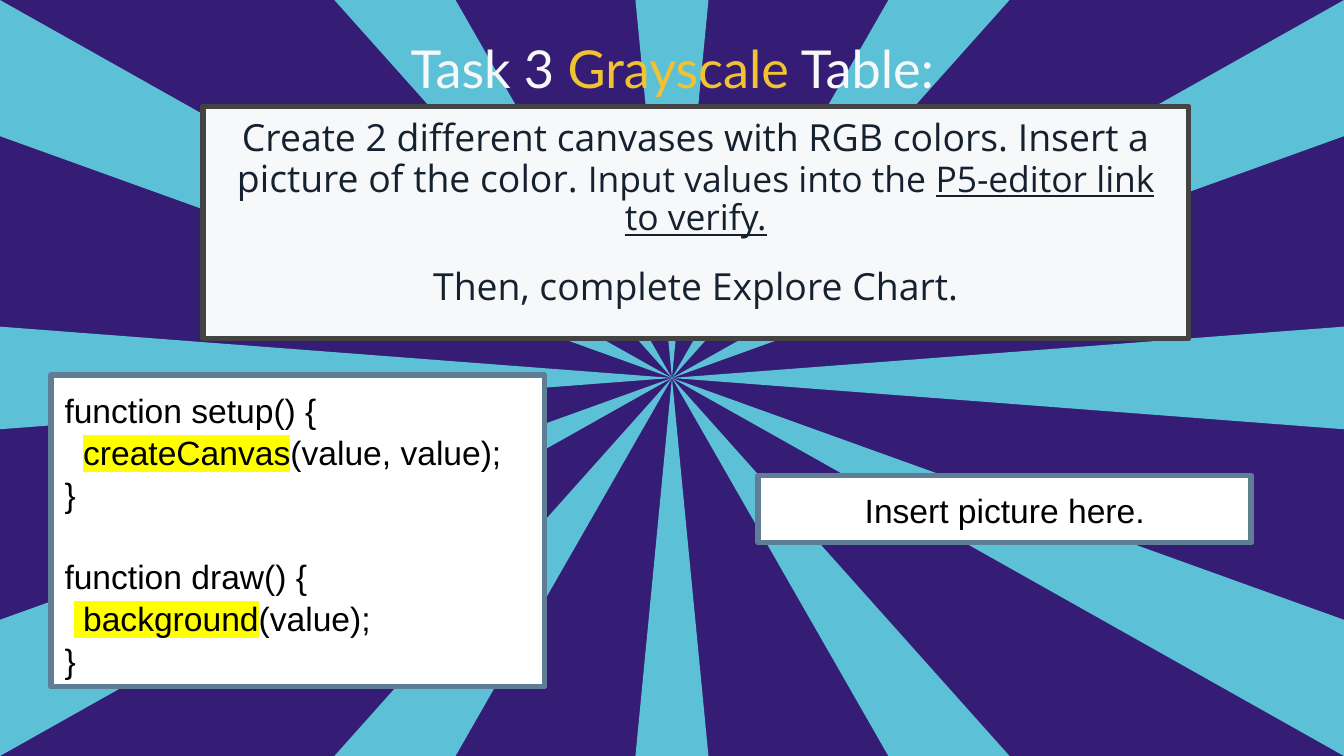
from itertools import product
from lxml.etree import SubElement
from pptx import Presentation
from pptx.dml.color import RGBColor
from pptx.enum.shapes import MSO_SHAPE
from pptx.enum.text import MSO_ANCHOR, MSO_AUTO_SIZE, PP_ALIGN
from pptx.oxml.ns import qn
from pptx.util import Cm, Pt

COLORS = {
    "purple": "351C75", "aqua": "5CC1D6", "paper": "F6F8F9", "gold": "F1C232",
    "ink": "162130", "charcoal": "434343", "white": "FFFFFF", "slate": "5F7D95",
    "black": "000000", "yellow": "FFFF00",
}
WIDTH, HEIGHT = 25.4, 14.29


def rgb(name):
    return RGBColor.from_string(COLORS[name])


class SlideBuilder:
    def __init__(self, presentation):
        self.slide = presentation.slides.add_slide(presentation.slide_layouts[0])
        self.slide.background.fill.solid()
        self.slide.background.fill.fore_color.rgb = rgb("purple")

    def rays(self, color, rays):
        group = self.slide.shapes.add_group_shape()
        center_x, center_y = WIDTH / 2, HEIGHT / 2
        for ray in rays:
            edge = [(Cm(center_x + x), Cm(center_y + y)) for x, y in ray]
            builder = group.shapes.build_freeform(Cm(center_x), Cm(center_y))
            builder.add_line_segments(edge, close=True)
            shape = builder.convert_to_shape()
            shape.shadow.inherit = False
            shape.fill.solid()
            shape.fill.fore_color.rgb = rgb(color)
            shape.line.fill.background()
        self.slide.shapes._spTree.insert(2, group._element)

    def place(self, shape, box):
        shape.left, shape.top, shape.width, shape.height = map(Cm, box)

    def frame(self, shape, fill, line):
        shape.fill.solid()
        shape.fill.fore_color.rgb = rgb(fill)
        shape.line.color.rgb = rgb(line)
        shape.line.width = Pt(3)
        SubElement(shape.line._get_or_add_ln(), qn("a:round"))

    def add_text(self, shape, paragraphs, font, color, align, spacing=1.0, gaps=()):
        text_frame = shape.text_frame
        text_frame.word_wrap = True
        text_frame.auto_size = MSO_AUTO_SIZE.NONE
        text_frame.vertical_anchor = MSO_ANCHOR.TOP
        text_frame.margin_left = text_frame.margin_right = Cm(0.25)
        text_frame.margin_top = text_frame.margin_bottom = Cm(0.25)
        for index, runs in enumerate(paragraphs):
            paragraph = text_frame.paragraphs[0] if index == 0 else text_frame.add_paragraph()
            paragraph.alignment = align
            paragraph.line_spacing = spacing
            paragraph.space_before = Pt(dict(gaps).get(index, 0))
            for text, size, *options in runs:
                self.add_run(paragraph, text, size, font, color, **dict(options))

    def add_run(self, paragraph, text, size, font, color, ink=None, underline=False, highlight=None):
        run = paragraph.add_run()
        run.text = text
        run.font.size = Pt(size)
        run.font.name = font
        run.font.color.rgb = rgb(ink or color)
        if underline:
            run.font.underline = True
        if highlight:
            properties = run._r.get_or_add_rPr()
            mark = SubElement(properties, qn("a:highlight"))
            SubElement(mark, qn("a:srgbClr"), val=COLORS[highlight])
            properties.find(qn("a:latin")).addprevious(mark)

    def title(self, box, runs):
        shape = self.slide.shapes.title
        self.place(shape, box)
        self.add_text(shape, [runs], "Lato", "paper", PP_ALIGN.CENTER)

    def body(self, box, paragraphs, gaps):
        shape = self.slide.placeholders[1]
        self.place(shape, box)
        self.frame(shape, "paper", "charcoal")
        self.add_text(shape, paragraphs, "Open Sans", "ink", PP_ALIGN.CENTER, 0.9, gaps)

    def card(self, box, paragraphs, align, gaps=()):
        shape = self.slide.shapes.add_shape(MSO_SHAPE.RECTANGLE, *map(Cm, box))
        shape.shadow.inherit = False
        self.frame(shape, "white", "slate")
        self.add_text(shape, paragraphs, "Arial", "black", align, 1.04, gaps)


def sunburst():
    right, bottom = WIDTH / 2, HEIGHT / 2
    rays = []
    for side in (-1, 1):
        rays.append([(-0.69, side * bottom), (0.69, side * bottom)])
        rays.append([(side * right, -0.97), (side * right, 0.97)])
    for across, down in product((-1, 1), repeat=2):
        rays.append([(across * 4.09, down * bottom), (across * 6.38, down * bottom)])
        rays.append([(across * right, down * 4.57), (across * right, down * bottom)])
    return rays


presentation = Presentation()
presentation.slide_width, presentation.slide_height = Cm(WIDTH), Cm(HEIGHT)
builder = SlideBuilder(presentation)
builder.rays("aqua", sunburst())
builder.title(
    (3.51, 0.43, 18.39, 2.77),
    [("Task 3 ", 28), ("Grayscale", 28, ("ink", "gold")), (" Table:", 28)],
)
builder.body(
    (3.84, 2.01, 18.62, 4.39),
    [
        [
            ("Create 2 different canvases with RGB colors. Insert a picture of the color. ", 20),
            ("Input values into the ", 19),
            ("P5-editor link to verify.", 19, ("underline", True)),
        ],
        [("Then, complete Explore Chart.", 20)],
    ],
    {1: 16},
)
marked = ("highlight", "yellow")
builder.card(
    (0.97, 7.09, 9.32, 5.89),
    [
        [("function setup() {", 18)],
        [("  ", 18), ("createCanvas", 18, marked), ("(value, value);", 18)],
        [("}", 18)],
        [("function draw() {", 18)],
        [(" ", 18), (" background", 18, marked), ("(value);", 18)],
        [("}", 18)],
    ],
    PP_ALIGN.LEFT,
    {3: 21.5},
)
builder.card((14.33, 8.99, 9.32, 1.27), [[("Insert picture here.", 18)]], PP_ALIGN.CENTER)
presentation.save("out.pptx")
